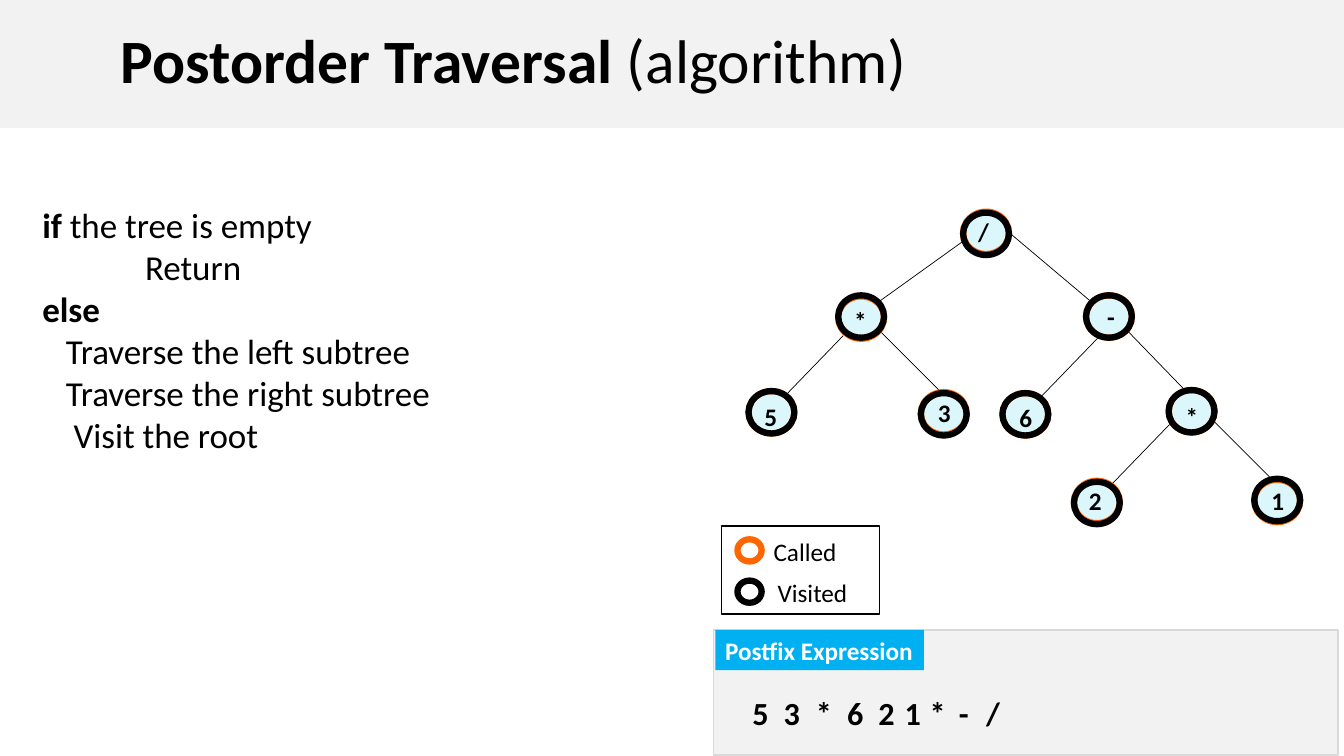
from lxml.etree import SubElement
from pptx import Presentation
from pptx.dml.color import RGBColor
from pptx.enum.shapes import MSO_CONNECTOR, MSO_SHAPE
from pptx.enum.text import MSO_ANCHOR, MSO_AUTO_SIZE, PP_ALIGN
from pptx.oxml.ns import qn
from pptx.util import Inches, Pt

COLORS = {
    "ink": "000000", "paper": "FFFFFF", "panel": "F2F2F2", "border": "D9D9D9",
    "node": "DCF7FC", "called": "FF6600", "visited": "000000", "tag": "00B0F0",
}
COLUMNS, ROWS = 133.4, 75
RING_WIDTH = 4.5
NODE_SIZE = (4.55, 4.2)

ALGORITHM = [
    (1.6, [("if ", True), ("the tree is empty", False)]),
    (11.8, [("Return", False)]),
    (1.6, [("else", True)]),
    (3.95, [("Traverse the left subtree", False)]),
    (3.95, [("Traverse the right subtree", False)]),
    (4.7, [("Visit the root", False)]),
]
NODES = [
    ("/", 95.6, 21.0, 0.1, (0.5, 0)),
    ("*", 83.2, 29.4, -0.1, (0.6, 0.4)),
    ("-", 107.8, 29.3, 0, (1.1, 0.1)),
    ("5", 74.3, 38.8, 0, (0.6, 0.5)),
    ("3", 91.4, 38.9, 0.1, (0.7, 0)),
    ("6", 99.5, 39.0, 0, (0.7, 0.4)),
    ("*", 116.0, 38.7, 0, (0.7, 0.6)),
    ("2", 106.6, 47.7, 0.1, (0.5, 0)),
    ("1", 124.5, 47.6, -0.1, (0.7, 0.1)),
]
EDGES = [
    (96.2, 23.5, 87.0, 30.1), (100.2, 23.1, 108.5, 30.1),
    (83.7, 33.3, 77.8, 39.4), (87.3, 32.8, 93.4, 38.9),
    (109.0, 33.5, 103.1, 39.6), (111.7, 32.6, 117.7, 38.8),
    (116.1, 42.1, 110.2, 48.2), (120.3, 41.6, 126.4, 47.7),
]
POSTFIX = [
    ("5", 73.7), ("3", 76.8), ("*", 80.0), ("6", 83.1), ("2", 86.2),
    ("1", 88.8), ("*", 91.3), ("-", 94.2), ("/", 96.9),
]


class TraversalSlide:
    """Holds the style and the current slide, measured on a 133.4 by 75 grid."""

    font = "Calibri"

    def __init__(self, deck):
        self.column = deck.slide_width / COLUMNS
        self.row = deck.slide_height / ROWS
        self.page = deck.slides.add_slide(deck.slide_layouts[1])

    def place(self, left, top, width, height):
        return (round(left * self.column), round(top * self.row),
                round(width * self.column), round(height * self.row))

    def color(self, name):
        return RGBColor.from_string(COLORS[name])

    def add_spans(self, para, spans, size, color="ink"):
        for text, bold in spans:
            span = para.add_run()
            span.text = text
            span.font.name = self.font
            span.font.size = Pt(size)
            span.font.bold = bold
            span.font.color.rgb = self.color(color)

    def indent(self, para, columns):
        properties = para._p.get_or_add_pPr()
        properties.set("marL", str(round(columns * self.column)))
        properties.set("indent", "0")
        SubElement(properties, qn("a:buNone"))

    def fit(self, box, area, anchor):
        box.left, box.top, box.width, box.height = self.place(*area)
        frame = box.text_frame
        frame.auto_size = MSO_AUTO_SIZE.NONE
        frame.vertical_anchor = anchor
        return frame

    def title(self, spans, area):
        box = self.page.shapes.title
        box.fill.solid()
        box.fill.fore_color.rgb = self.color("panel")
        para = self.fit(box, area, MSO_ANCHOR.MIDDLE).paragraphs[0]
        para.alignment = PP_ALIGN.LEFT
        para.line_spacing = 0.9
        self.indent(para, 11)
        self.add_spans(para, spans, 44)

    def body(self, lines, area):
        frame = self.fit(self.page.placeholders[1], area, MSO_ANCHOR.TOP)
        for index, (columns, spans) in enumerate(lines):
            para = frame.add_paragraph() if index else frame.paragraphs[0]
            para.space_before = Pt(0)
            self.indent(para, columns)
            self.add_spans(para, spans, 25)

    def shape(self, kind, area, fill=None, line=None, width=1):
        shape = self.page.shapes.add_shape(kind, *self.place(*area))
        shape.shadow.inherit = False
        if fill:
            shape.fill.solid()
            shape.fill.fore_color.rgb = self.color(fill)
        else:
            shape.fill.background()
        if line:
            shape.line.color.rgb = self.color(line)
            shape.line.width = Pt(width)
        else:
            shape.line.fill.background()
        return shape

    def ring(self, area, line, fill=None):
        self.shape(MSO_SHAPE.OVAL, area, fill, line, RING_WIDTH)

    def label(self, text, area, size, bold=True):
        box = self.page.shapes.add_textbox(*self.place(*area))
        box.text_frame.word_wrap = True
        self.add_spans(box.text_frame.paragraphs[0], [(text, bold)], size)

    def tag(self, text, area):
        box = self.shape(MSO_SHAPE.RECTANGLE, area, "tag")
        box.text_frame.word_wrap = False
        para = box.text_frame.paragraphs[0]
        para.alignment = PP_ALIGN.LEFT
        self.add_spans(para, [(text, True)], 18, "paper")

    def edge(self, from_x, from_y, to_x, to_y):
        line = self.page.shapes.add_connector(
            MSO_CONNECTOR.STRAIGHT, *self.place(from_x, from_y, to_x, to_y))
        line.line.color.rgb = self.color("ink")
        line.line.width = Pt(0.5)
        SubElement(line._element.spPr, qn("a:effectLst"))

    def node(self, text, left, top, shift, offset):
        self.ring((left, top, *NODE_SIZE), "called", "node")
        self.ring((left, top + shift, *NODE_SIZE), "visited")
        self.label(text, (left + offset[0], top + offset[1], 4, 4), 18)


def main():
    deck = Presentation()
    deck.slide_width, deck.slide_height = Inches(13.34), Inches(7.5)
    slide = TraversalSlide(deck)

    slide.title([("Postorder Traversal ", True), ("(algorithm)", False)],
                (0, 0, COLUMNS, 12.7))
    slide.body(ALGORITHM, (1.6, 19.7, 59.4, 30.2))

    for edge in EDGES:
        slide.edge(*edge)
    for node in NODES:
        slide.node(*node)

    slide.shape(MSO_SHAPE.RECTANGLE, (71.6, 52.2, 15.7, 8.7), "paper", "ink")
    for index, (text, left) in enumerate([("Called", 75.8), ("Visited", 76.2)]):
        drop = index * 4.1
        slide.ring((73.2, 53.5 + drop, 2.4, 2.2), text.lower())
        slide.label(text, (left, 52.7 + drop, 10, 4), 18, False)

    slide.shape(MSO_SHAPE.RECTANGLE, (70.8, 62.5, 62, 12.4), "panel", "border")
    slide.tag("Postfix Expression", (71, 62.5, 20.7, 4))
    for text, left in POSTFIX:
        slide.label(text, (left, 68.3, 4, 4.9), 23)

    deck.save("out.pptx")


if __name__ == "__main__":
    main()
